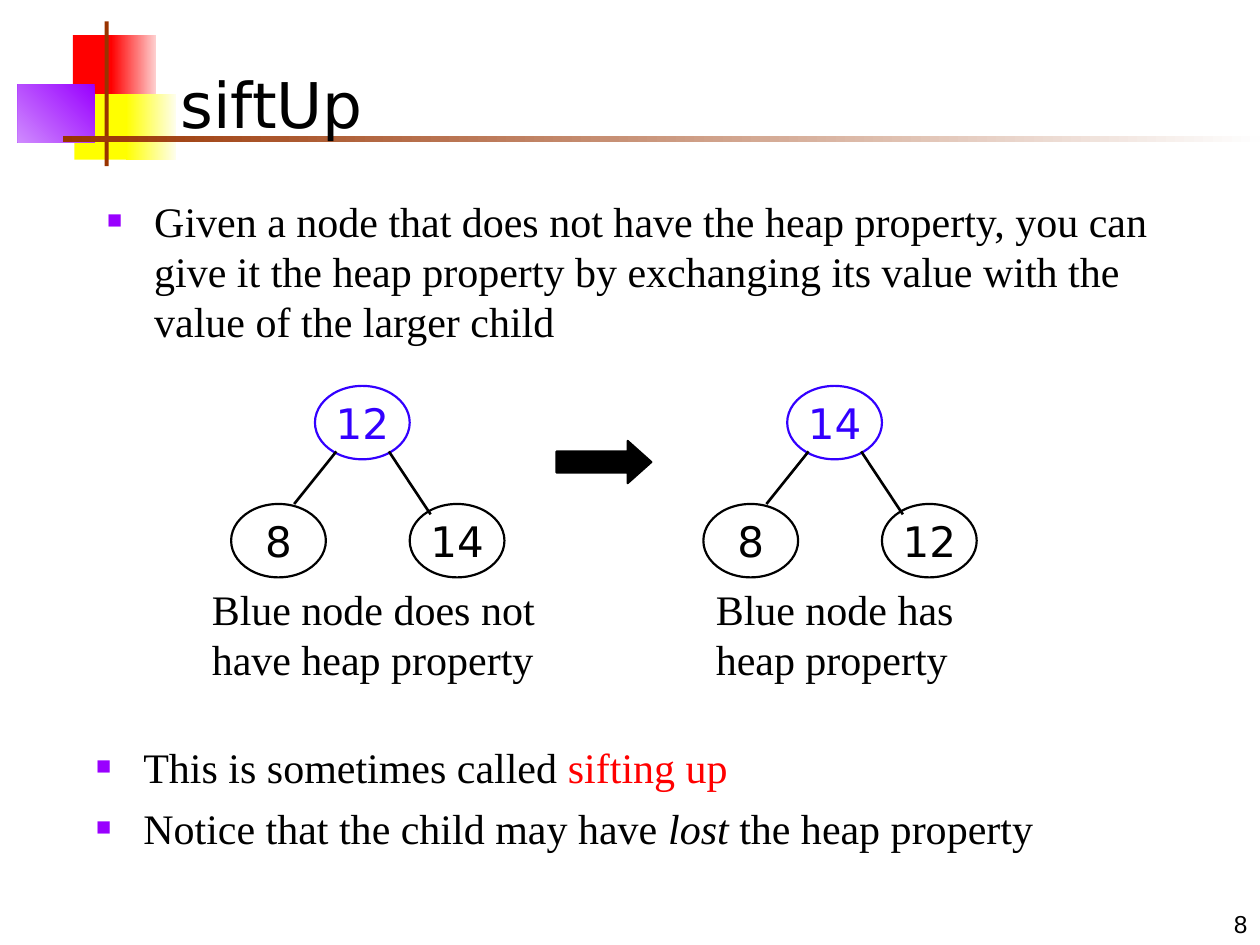
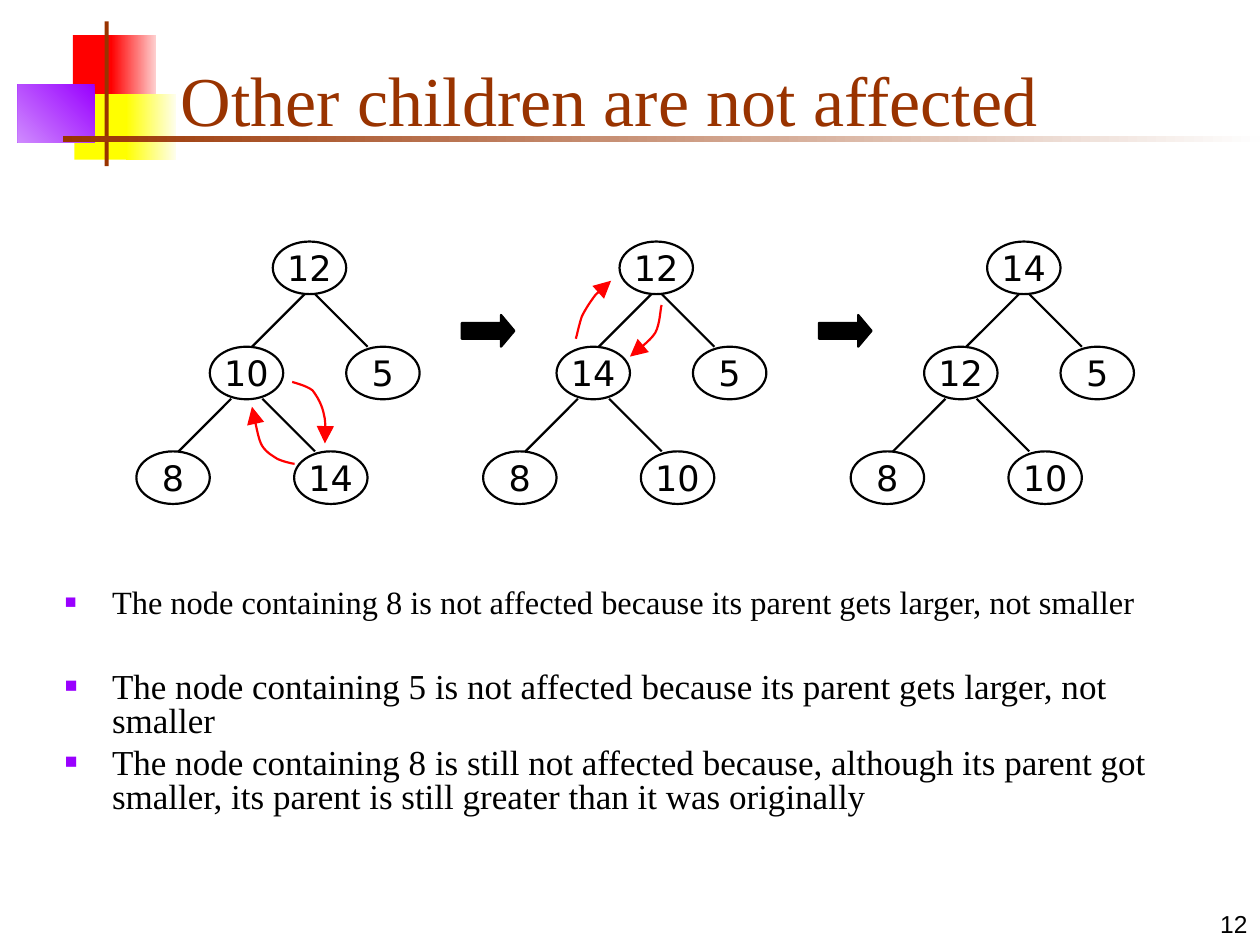
import dataclasses
import typing

import lxml.etree
import pptx
import pptx.dml.color
import pptx.enum.shapes
import pptx.enum.text
import pptx.oxml.ns
import pptx.util

Cm = pptx.util.Cm
Pt = pptx.util.Pt
Kind = pptx.enum.shapes.MSO_SHAPE
Align = pptx.enum.text.PP_ALIGN
Anchor = pptx.enum.text.MSO_ANCHOR
Point = tuple[float, float]


@dataclasses.dataclass(frozen=True)
class Theme:
    black: str = "000000"
    blue: str = "3300FF"
    red: str = "FF0000"
    brown: str = "993300"
    purple: str = "9900FF"
    yellow: str = "FFFF00"
    serif: str = "Times New Roman"
    sans: str = "DejaVu Sans"
    plain: str = "Arial"
    head: float = 36
    large: float = 40
    body: float = 24
    mid: float = 20
    small: float = 18.5
    page: float = 14
    thin: float = 1.25
    thick: float = 1.5


THEME = Theme()


@dataclasses.dataclass(frozen=True)
class Box:
    left: float
    top: float
    width: float
    height: float

    def size(self) -> tuple:
        return Cm(self.left), Cm(self.top), Cm(self.width), Cm(self.height)


@dataclasses.dataclass(frozen=True)
class Band:
    box: Box
    fill: str
    fade: str = ""
    angle: float = 180


@dataclasses.dataclass(frozen=True)
class Run:
    text: str
    size: float = THEME.body
    font: str = THEME.serif
    color: str = THEME.black
    slant: bool = False


@dataclasses.dataclass(frozen=True)
class Para:
    runs: list[Run]
    before: float = 0
    lines: float | None = None
    align: typing.Any = Align.LEFT
    mark: bool = False


@dataclasses.dataclass(frozen=True)
class Form:
    width: float
    height: float
    spots: list[Point]
    links: list[tuple[Point, Point]]
    size: float
    line: float


@dataclasses.dataclass(frozen=True)
class Tree:
    left: float
    labels: list[str]
    top: str = THEME.black


BANDS = [
    Band(Box(1.47, 0.71, 0.89, 1.32), THEME.red),
    Band(Box(2.24, 0.71, 0.91, 1.32), "FED0D0", THEME.red),
    Band(Box(1.5, 1.9, 1.17, 1.32), THEME.yellow),
    Band(Box(2.54, 1.9, 1.02, 1.32), "FEFEEF", THEME.yellow),
    Band(Box(0.36, 1.7, 1.55, 1.17), THEME.purple, "CF8AFE", 225),
    Band(Box(2.11, 0.43, 0.08, 2.92), THEME.brown),
    Band(Box(1.27, 2.74, 24.13, 0.13), "FEFEFE", THEME.brown),
]
HEAD = Box(3.39, 0.64, 21.64, 2.33)
PAGE = Box(20.11, 17.78, 5.29, 1.27)

PAIR = Form(
    1.91, 1.48,
    [(1.69, 7.78), (0, 10.16), (3.6, 10.16)],
    [((2.12, 9.1), (1.27, 10.16)), ((3.18, 9.1), (4.02, 10.37))],
    THEME.body, THEME.thick,
)
HEAP = Form(
    1.48, 1.06,
    [(2.75, 4.87), (1.48, 6.99), (4.23, 6.99), (0, 9.1), (3.18, 9.1)],
    [((3.39, 5.93), (2.33, 6.99)), ((3.6, 5.93), (4.66, 6.99)),
     ((1.91, 8.04), (0.85, 9.1)), ((2.54, 8.04), (3.6, 9.1))],
    THEME.mid, THEME.thin,
)

SWAPS = [
    [(5.94, 9.35), (5.89, 9.35), (5.69, 9.3), (5.59, 9.25), (5.46, 9.17),
     (5.33, 9.09), (5.26, 8.94), (5.18, 8.76), (5.13, 8.36), (5.08, 8.2)],
    [(5.89, 7.7), (5.94, 7.72), (6.17, 7.77), (6.3, 7.87), (6.4, 8),
     (6.5, 8.18), (6.53, 8.36), (6.58, 8.53), (6.55, 8.84), (6.55, 8.94)],
    [(11.61, 6.83), (11.63, 6.76), (11.68, 6.53), (11.73, 6.38), (11.81, 6.22),
     (11.91, 6.07), (12.01, 5.94), (12.12, 5.84), (12.27, 5.72), (12.32, 5.66)],
    [(13.34, 6.15), (13.31, 6.22), (13.31, 6.53), (13.21, 6.71),
     (13.11, 6.88), (12.8, 7.09), (12.7, 7.19)],
]


def tint(code: str) -> pptx.dml.color.RGBColor:
    return pptx.dml.color.RGBColor.from_string(code)


def child(node: typing.Any, tag: str, **attrs: str) -> typing.Any:
    return lxml.etree.SubElement(node, pptx.oxml.ns.qn(tag), attrs)


def write(frame: typing.Any, paras: list[Para], anchor: typing.Any = Anchor.TOP,
          wrap: bool = True) -> None:
    frame.auto_size = pptx.enum.text.MSO_AUTO_SIZE.NONE
    frame.word_wrap = wrap
    frame.vertical_anchor = anchor
    for index, para in enumerate(paras):
        part = frame.add_paragraph() if index else frame.paragraphs[0]
        part.alignment = para.align
        part.space_before = Pt(para.before)
        part.line_spacing = para.lines
        if para.mark:
            add_mark(part)
        for item in para.runs:
            run = part.add_run()
            run.text = item.text
            run.font.size = Pt(item.size)
            run.font.name = item.font
            run.font.italic = item.slant
            run.font.color.rgb = tint(item.color)


def add_mark(part: typing.Any) -> None:
    props = part._p.get_or_add_pPr()
    props.set("marL", str(Cm(0.95)))
    props.set("indent", str(Cm(-0.95)))
    child(child(props, "a:buClr"), "a:srgbClr", val=THEME.purple)
    child(props, "a:buSzPct", val="60000")
    child(props, "a:buFont", typeface=THEME.serif)
    child(props, "a:buChar", char="■")


def add_text(slide: typing.Any, box: Box, paras: list[Para],
             anchor: typing.Any = Anchor.TOP) -> None:
    write(slide.shapes.add_textbox(*box.size()).text_frame, paras, anchor)


def add_form(slide: typing.Any, kind: typing.Any, box: Box) -> typing.Any:
    shape = slide.shapes.add_shape(kind, *box.size())
    shape.shadow.inherit = False
    return shape


def add_band(slide: typing.Any, band: Band) -> None:
    shape = add_form(slide, Kind.RECTANGLE, band.box)
    shape.line.fill.background()
    if not band.fade:
        shape.fill.solid()
        shape.fill.fore_color.rgb = tint(band.fill)
        return
    shape.fill.gradient()
    shape.fill.gradient_angle = band.angle
    for stop, place, code in zip(shape.fill.gradient_stops, (0, 1), (band.fill, band.fade)):
        stop.position = place
        stop.color.rgb = tint(code)


def ink(line: typing.Any, code: str, width: float) -> None:
    line.color.rgb = tint(code)
    line.width = Pt(width)


def add_tree(slide: typing.Any, form: Form, tree: Tree) -> None:
    for index, ((left, top), label) in enumerate(zip(form.spots, tree.labels)):
        code = THEME.black if index else tree.top
        node = add_form(slide, Kind.OVAL, Box(tree.left + left, top, form.width, form.height))
        node.fill.background()
        ink(node.line, code, THEME.thin)
        run = Run(label, form.size, THEME.sans, code)
        write(node.text_frame, [Para([run], align=Align.CENTER)], Anchor.MIDDLE, False)
    for start, end in form.links:
        link = slide.shapes.add_connector(
            pptx.enum.shapes.MSO_CONNECTOR.STRAIGHT,
            Cm(tree.left + start[0]), Cm(start[1]), Cm(tree.left + end[0]), Cm(end[1]))
        ink(link.line, THEME.black, form.line)
        child(link.element.spPr, "a:effectLst")


def add_arrow(slide: typing.Any, box: Box, head: float) -> None:
    arrow = add_form(slide, Kind.RIGHT_ARROW, box)
    arrow.adjustments[1] = head
    arrow.fill.solid()
    arrow.fill.fore_color.rgb = tint(THEME.black)
    ink(arrow.line, THEME.black, THEME.thin)


def bend(knots: list[Point], steps: int = 8) -> list[Point]:
    points = [knots[0]]
    for first in range(0, len(knots) - 1, 3):
        quad = knots[first:first + 4]
        for step in range(1, steps + 1):
            t = step / steps
            parts = ((1 - t) ** 3, 3 * t * (1 - t) ** 2, 3 * t * t * (1 - t), t ** 3)
            points.append((sum(p * k[0] for p, k in zip(parts, quad)),
                           sum(p * k[1] for p, k in zip(parts, quad))))
    return points


def add_swap(slide: typing.Any, knots: list[Point]) -> None:
    points = [(Cm(x), Cm(y)) for x, y in bend(knots)]
    pen = slide.shapes.build_freeform(*points[0])
    pen.add_line_segments(points[1:], close=False)
    curve = pen.convert_to_shape()
    curve.shadow.inherit = False
    curve.fill.background()
    ink(curve.line, THEME.red, THEME.thin)
    child(curve.line._get_or_add_ln(), "a:tailEnd", type="triangle", w="lg", len="lg")


def add_slide(deck: typing.Any, head: Run, page: str) -> typing.Any:
    slide = deck.slides.add_slide(deck.slide_layouts[5])
    for band in BANDS:
        add_band(slide, band)
    title = slide.shapes.title
    title.left, title.top, title.width, title.height = HEAD.size()
    write(title.text_frame, [Para([head])], Anchor.BOTTOM)
    title.element.getparent().append(title.element)
    run = Run(page, THEME.page, THEME.plain)
    add_text(slide, PAGE, [Para([run], align=Align.RIGHT)], Anchor.BOTTOM)
    return slide


def draw_sift(deck: typing.Any) -> None:
    slide = add_slide(deck, Run("siftUp", THEME.head, THEME.sans), "8")
    add_text(slide, Box(1.91, 3.81, 21.59, 4.24), [Para([Run(
        "Given a node that does not have the heap property, you can give it the heap "
        "property by exchanging its value with the value of the larger child")], 6, mark=True)])
    add_text(slide, Box(1.69, 14.82, 21.8, 3.6), [
        Para([Run("This is sometimes called "), Run("sifting up", color=THEME.red)], 6, mark=True),
        Para([Run("Notice that the child may have "), Run("lost", slant=True),
              Run(" the heap property")], 6, mark=True),
    ])
    add_tree(slide, PAIR, Tree(4.66, ["12", "8", "14"], THEME.blue))
    add_tree(slide, PAIR, Tree(14.18, ["14", "8", "12"], THEME.blue))
    for left, width, note in [(4.02, 7.2, "Blue node does not have heap property"),
                              (14.18, 5.5, "Blue node has heap property")]:
        add_text(slide, Box(left, 11.64, width, 2.29), [Para([Run(note)], 15)])
    add_arrow(slide, Box(11.22, 8.89, 1.91, 0.85), 0.56)


def draw_rest(deck: typing.Any) -> None:
    head = Run("Other children are not affected", THEME.large, color=THEME.brown)
    slide = add_slide(deck, head, "12")
    add_text(slide, Box(1.06, 11.61, 22.89, 1.96), [Para([Run(
        "The node containing 8 is not affected because its parent gets larger, not smaller",
        THEME.small)], 5, mark=True)])
    add_text(slide, Box(1.06, 13.44, 23.34, 3.4), [
        Para([Run(text, THEME.mid)], 5, 0.8, mark=True) for text in (
            "The node containing 5 is not affected because its parent gets larger, not smaller",
            "The node containing 8 is still not affected because, although its parent got "
            "smaller, its parent is still greater than it was originally")])
    for tree in (Tree(2.75, ["12", "10", "5", "8", "14"]),
                 Tree(9.74, ["12", "14", "5", "8", "10"]),
                 Tree(17.15, ["14", "12", "5", "8", "10"])):
        add_tree(slide, HEAP, tree)
    for left in (9.31, 16.51):
        add_arrow(slide, Box(left, 6.35, 1.06, 0.64), 0.42)
    for knots in SWAPS:
        add_swap(slide, knots)


def main() -> None:
    deck = pptx.Presentation()
    deck.slide_width, deck.slide_height = Cm(25.4), Cm(19.05)
    draw_sift(deck)
    draw_rest(deck)
    deck.save("out.pptx")


if __name__ == "__main__":
    main()
